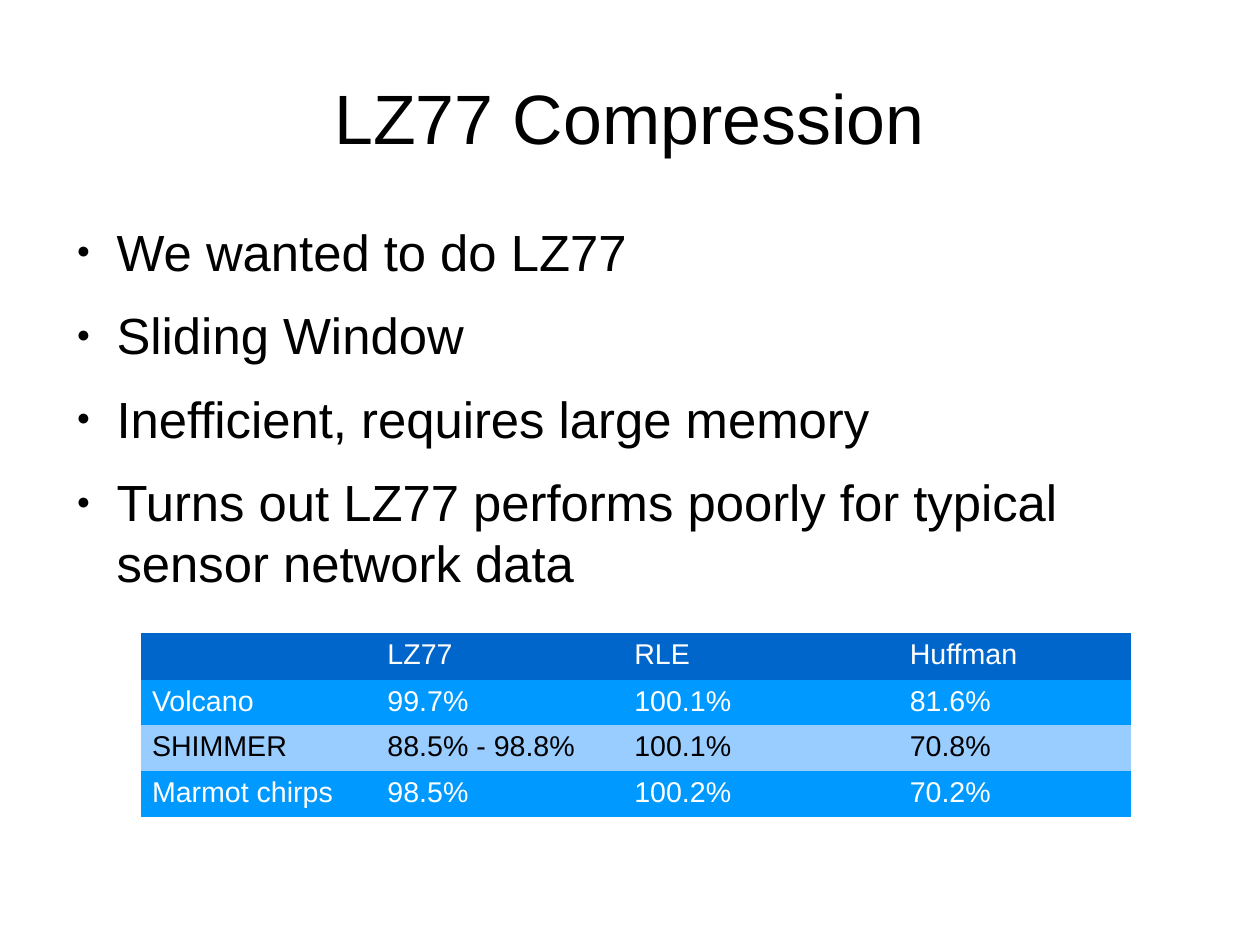
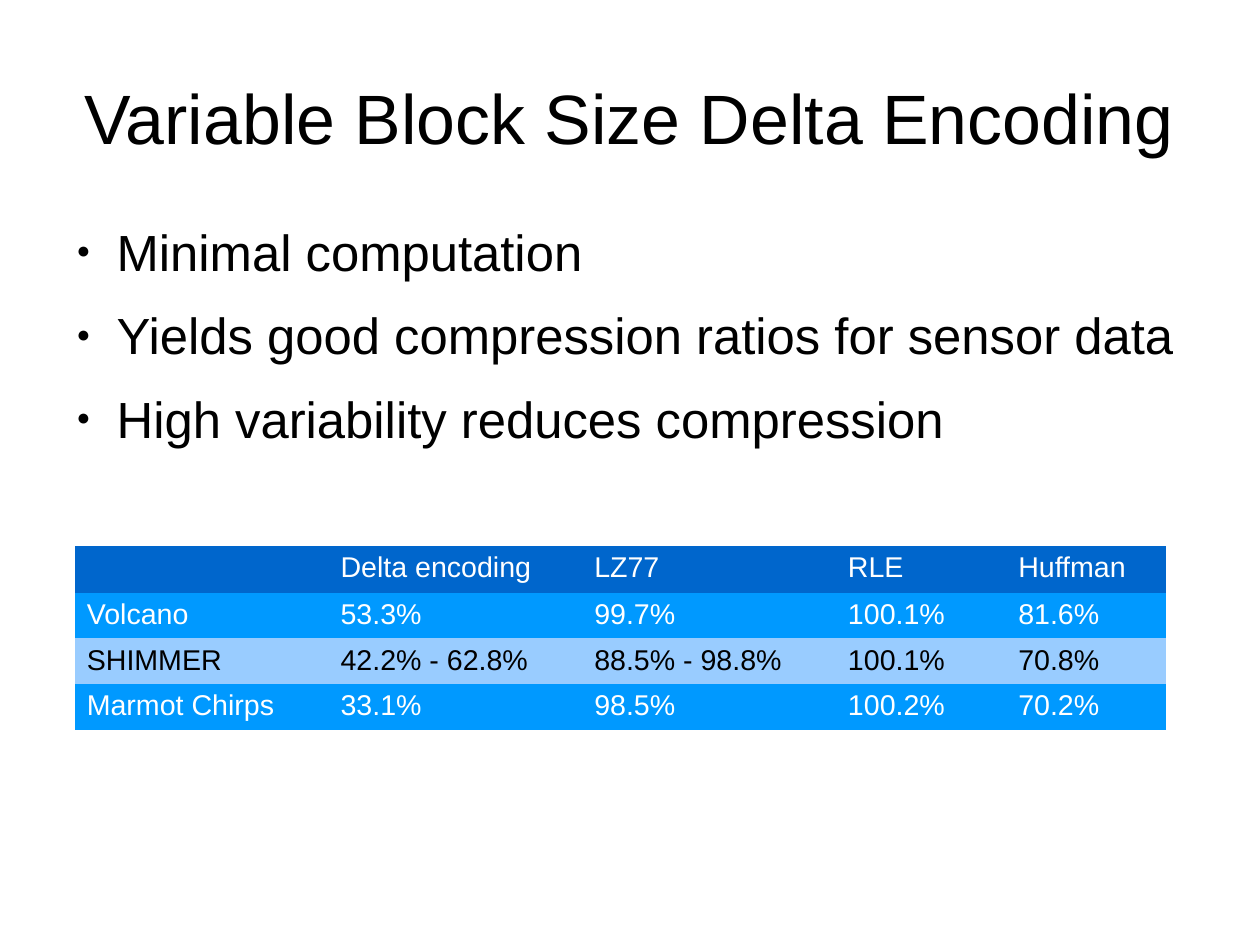
from lxml.etree import SubElement as Sub
from pptx import Presentation
from pptx.dml.color import RGBColor as RGB
from pptx.enum.text import MSO_ANCHOR as Anchor, MSO_AUTO_SIZE as Fit, PP_ALIGN as Align
from pptx.oxml.ns import qn
from pptx.util import Cm, Inches, Pt

BLACK, WHITE = "000000", "FFFFFF"
HEAD, DARK, LIGHT = "0066CC", "0099FF", "99CCFF"
TITLE_BOX = (0.55, 0.33, 9.92, 1.38)
BODY_BOX = (0.55, 1.93, 9.92, 5.36)
ROW = 0.4


def hue(code):
    """Turn a hex string into a colour."""
    return RGB.from_string(code)


def write(para, text, size=18, color=BLACK, align=Align.LEFT, after=0):
    """Put formatted text into a paragraph."""
    para.alignment = align
    para.space_before, para.space_after = Pt(0), Pt(after)
    run = para.add_run()
    run.text = text
    run.font.name, run.font.size = "Arial", Pt(size)
    run.font.color.rgb = hue(color)


def dot(para):
    """Give a paragraph a small round bullet and a hanging indent."""
    props = para._p.get_or_add_pPr()
    props.set("marL", str(Inches(0.47)))
    props.set("indent", str(Inches(-0.35)))
    Sub(Sub(props, qn("a:buClr")), qn("a:srgbClr"), val=BLACK)
    Sub(props, qn("a:buSzPct"), val="45000")
    Sub(props, qn("a:buFont"), typeface="Arial")
    Sub(props, qn("a:buChar"), char="●")


def paint(cell, color):
    """Fill a cell and clear its borders."""
    props = cell._tc.get_or_add_tcPr()
    for side in ("L", "R", "T", "B"):
        Sub(Sub(props, qn("a:ln" + side), w="0"), qn("a:noFill"))
    cell.fill.solid()
    cell.fill.fore_color.rgb = hue(color)


class Deck:
    """Holds the shared style and the current slide."""

    def __init__(self):
        """Start a deck of 28 by 21 centimetres."""
        self.show = Presentation()
        self.show.slide_width = Cm(28)
        self.show.slide_height = Cm(21)
        self.slide = None

    def frame(self, holder, box, anchor):
        """Move a placeholder and return its plain text frame."""
        holder.left, holder.top, holder.width, holder.height = map(Inches, box)
        frame = holder.text_frame
        frame.margin_left = frame.margin_right = 0
        frame.margin_top = frame.margin_bottom = 0
        frame.word_wrap, frame.auto_size = True, Fit.NONE
        frame.vertical_anchor = anchor
        return frame

    def page(self, title):
        """Add a slide with its title."""
        self.slide = self.show.slides.add_slide(self.show.slide_layouts[1])
        frame = self.frame(self.slide.shapes.title, TITLE_BOX, Anchor.MIDDLE)
        write(frame.paragraphs[0], title, size=44, align=Align.CENTER)

    def points(self, items):
        """Fill the body with a bulleted list."""
        frame = self.frame(self.slide.placeholders[1], BODY_BOX, Anchor.TOP)
        for num, item in enumerate(items):
            para = frame.add_paragraph() if num else frame.paragraphs[0]
            write(para, item, size=32, after=14.2)
            dot(para)

    def table(self, left, top, widths, rows):
        """Add a table with a header and alternating row fills."""
        grid = self.slide.shapes.add_table(
            len(rows), len(widths), Inches(left), Inches(top),
            Inches(sum(widths)), Inches(ROW * len(rows))).table
        for col, width in zip(grid.columns, widths):
            col.width = Inches(width)
        for num, row in enumerate(rows):
            fill = HEAD if num == 0 else DARK if num % 2 else LIGHT
            for col, text in enumerate(row):
                cell = grid.cell(num, col)
                paint(cell, fill)
                if text:
                    write(cell.text_frame.paragraphs[0], text,
                          color=BLACK if fill == LIGHT else WHITE)


deck = Deck()

deck.page("LZ77 Compression")
deck.points([
    "We wanted to do LZ77",
    "Sliding Window",
    "Inefficient, requires large memory",
    "Turns out LZ77 performs poorly for typical sensor network data",
])
deck.table(1.23, 5.54, [2.06, 2.16, 2.41, 2.04], [
    ["", "LZ77", "RLE", "Huffman"],
    ["Volcano", "99.7%", "100.1%", "81.6%"],
    ["SHIMMER", "88.5% - 98.8%", "100.1%", "70.8%"],
    ["Marmot chirps", "98.5%", "100.2%", "70.2%"],
])

deck.page("Variable Block Size Delta Encoding")
deck.points([
    "Minimal computation",
    "Yields good compression ratios for sensor data",
    "High variability reduces compression",
])
deck.table(0.66, 4.78, [2.22, 2.22, 2.22, 1.49, 1.39], [
    ["", "Delta encoding", "LZ77", "RLE", "Huffman"],
    ["Volcano", "53.3%", "99.7%", "100.1%", "81.6%"],
    ["SHIMMER", "42.2% - 62.8%", "88.5% - 98.8%", "100.1%", "70.8%"],
    ["Marmot Chirps", "33.1%", "98.5%", "100.2%", "70.2%"],
])

deck.show.save("out.pptx")
